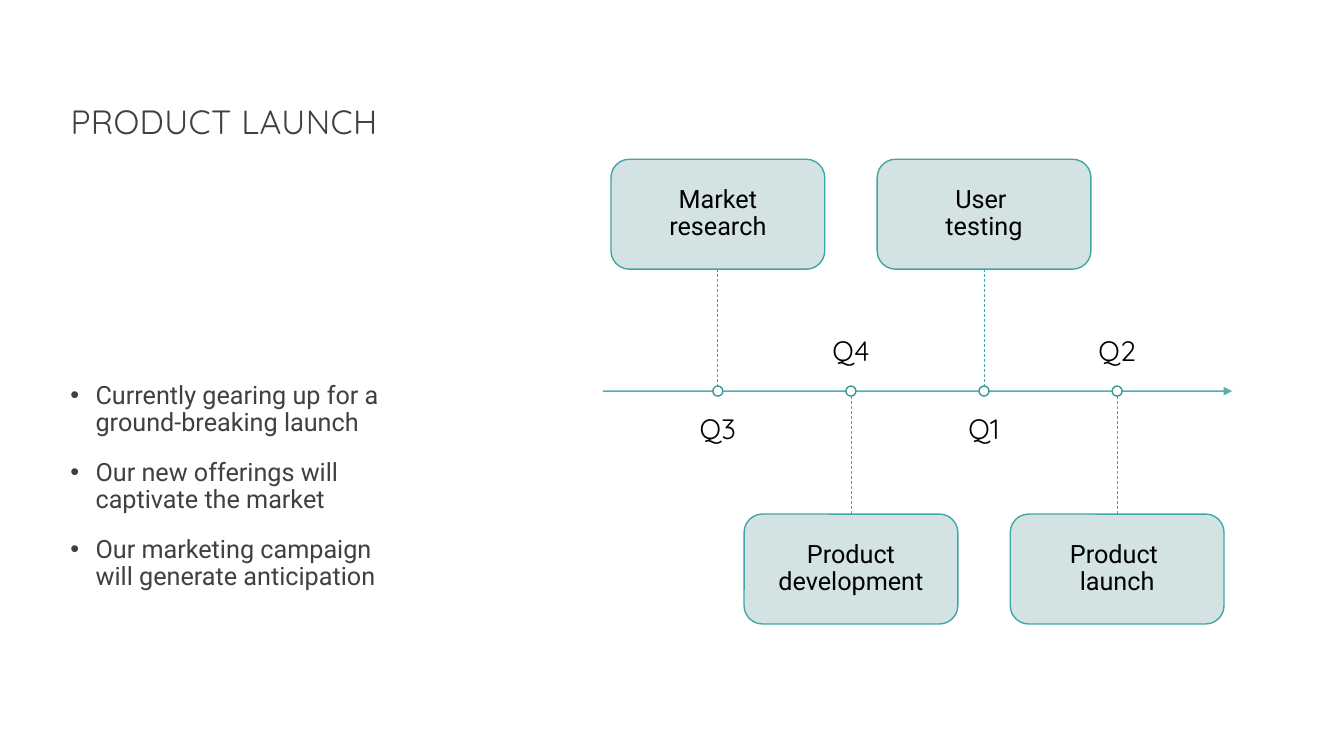
"""Build a product launch slide with a quarterly timeline."""
from lxml import etree
from pptx import Presentation
from pptx.dml.color import RGBColor
from pptx.enum.dml import MSO_LINE
from pptx.enum.shapes import MSO_CONNECTOR, MSO_SHAPE
from pptx.enum.text import MSO_ANCHOR, PP_ALIGN
from pptx.oxml.ns import qn
from pptx.util import Pt

PX = 9144
TOP, MIDDLE, BOTTOM = MSO_ANCHOR.TOP, MSO_ANCHOR.MIDDLE, MSO_ANCHOR.BOTTOM
LEFT, CENTER = PP_ALIGN.LEFT, PP_ALIGN.CENTER
ROUND, OVAL = MSO_SHAPE.ROUNDED_RECTANGLE, MSO_SHAPE.OVAL
STRAIGHT, DASH = MSO_CONNECTOR.STRAIGHT, MSO_LINE.DASH
HEAD, BODY = "Quicksand", "Roboto"
TEAL, RING, MINT, WHITE = "41A6A6", "3B9797", "CFE1E1", "FFFFFF"
GRAY, BLACK = "404040", "000000"
AXIS, FIRST, STEP = 388, 712, 132
POINTS = ["Currently gearing up for a ground-breaking launch",
          "Our new offerings will captivate the market",
          "Our marketing campaign will generate anticipation"]
STAGES = [("Q3", ["Market research"]), ("Q4", ["Product development"]),
          ("Q1", ["User ", "testing"]), ("Q2", ["Product ", "launch"])]


def px(*vals):
    """Turn px lengths into EMU."""
    return [val * PX for val in vals]


def paint(color, code):
    """Set a colour format from a hex string."""
    color.rgb = RGBColor.from_string(code)


def fade(fill, share):
    """Give a solid fill part opacity, in percent."""
    tint = fill.find(".//" + qn("a:srgbClr"))
    etree.SubElement(tint, qn("a:alpha"), val=str(share * 1000))


def frame(shape, anchor, pad):
    """Prepare the text frame of a shape."""
    text = shape.text_frame
    text.word_wrap = True
    text.vertical_anchor = anchor
    text.margin_left, text.margin_top, text.margin_right, text.margin_bottom = px(*pad)
    return text


def write(para, lines, face, size, code, align=CENTER):
    """Fill a paragraph with one run a line."""
    para.alignment = align
    para.line_spacing = 0.9
    for i, line in enumerate(lines):
        if i:
            para.add_line_break()
        run = para.add_run()
        run.text = line
        run.font.name = face
        run.font.size = Pt(size)
        paint(run.font.color, code)


def head(slide):
    """Place and format the title."""
    title = slide.shapes.title
    title.left, title.top, title.width, title.height = px(60, 100, 340, 240)
    para = frame(title, TOP, (10, 5, 10, 5)).paragraphs[0]
    write(para, ["PRODUCT LAUNCH"], HEAD, 24, GRAY, LEFT)
    para.runs[0].font._element.set("spc", "30")


def points(slide):
    """Add the bulleted list."""
    box = slide.shapes.add_textbox(*px(60, 375, 340, 330))
    text = frame(box, TOP, (10, 5, 10, 5))
    for i, point in enumerate(POINTS):
        para = text.add_paragraph() if i else text.paragraphs[0]
        props = para._p.get_or_add_pPr()
        props.set("marL", str(25 * PX))
        props.set("indent", str(-25 * PX))
        etree.SubElement(props, qn("a:buFont"), typeface="Arial")
        etree.SubElement(props, qn("a:buChar"), char="•")
        write(para, [point], BODY, 18, GRAY, LEFT)
        if i:
            para.space_before = Pt(16)


def link(slide, ends, width):
    """Add a plain teal line."""
    line = slide.shapes.add_connector(STRAIGHT, *px(*ends))
    paint(line.line.color, TEAL)
    line.line.width = Pt(width)
    etree.SubElement(line._element.spPr, qn("a:effectLst"))
    return line


def shape(slide, kind, place, fill, edge):
    """Add a filled and outlined shape."""
    item = slide.shapes.add_shape(kind, *px(*place))
    item.shadow.inherit = False
    item.fill.solid()
    paint(item.fill.fore_color, fill)
    paint(item.line.color, edge)
    item.line.width = Pt(1)
    return item


def axis(slide):
    """Add the timeline arrow."""
    line = link(slide, (598, AXIS, 1222, AXIS), 1)
    stroke = line.line._get_or_add_ln()
    fade(stroke, 90)
    etree.SubElement(stroke, qn("a:tailEnd"), type="triangle")


def stage(slide, mid, above, label, lines):
    """Add one stage with its card, link, label and dot."""
    top, edge = (158, 267) if above else (510, 510)
    card = shape(slide, ROUND, (mid - 106, top, 212, 109), MINT, TEAL)
    fade(card._element.spPr.find(qn("a:solidFill")), 90)
    text = frame(card, MIDDLE, (20, 20, 20, 20))
    write(text.paragraphs[0], lines, BODY, 18, BLACK)
    link(slide, (mid, min(edge, AXIS), mid, max(edge, AXIS)), 0.5).line.dash_style = DASH
    box = slide.shapes.add_textbox(*px(mid - 100, 412 if above else 293, 200, 72))
    text = frame(box, TOP if above else BOTTOM, (0, 0, 0, 0))
    write(text.paragraphs[0], [label], HEAD, 20, BLACK)
    shape(slide, OVAL, (mid - 5, AXIS - 5, 10, 10), WHITE, RING)


def main():
    """Build and save the slide."""
    deck = Presentation()
    deck.slide_width, deck.slide_height = px(1333, 750)
    slide = deck.slides.add_slide(deck.slide_layouts[5])
    head(slide)
    points(slide)
    axis(slide)
    for i, (label, lines) in enumerate(STAGES):
        stage(slide, FIRST + i * STEP, i % 2 == 0, label, lines)
    deck.save("out.pptx")


if __name__ == "__main__":
    main()
